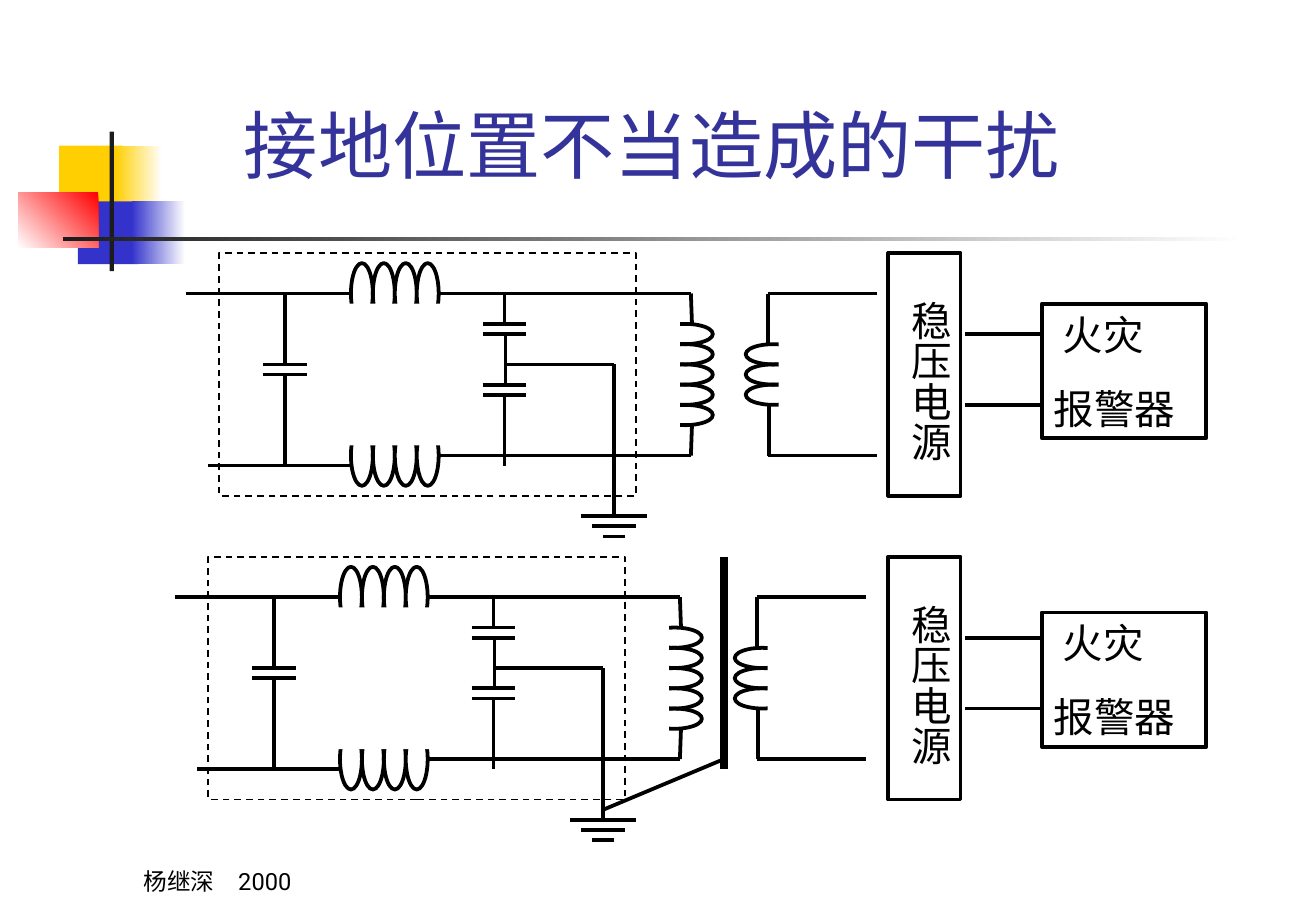
from dataclasses import dataclass

from lxml import etree
from pptx import Presentation
from pptx import util as u
from pptx.dml import color
from pptx.enum import dml, shapes, text
from pptx.oxml import ns


@dataclass(frozen=True)
class Theme:
    ink: str = "000000"
    paper: str = "FFFFFF"
    title: str = "333399"
    yellow: str = "FFCF01"
    blue: str = "3333CC"
    red: str = "FF0000"
    bar: str = "1C1C1C"
    font: str = "Roboto"
    title_size: int = 44
    label_size: int = 24
    footer_size: int = 14
    wire: float = 2.25
    screen: float = 4.5
    dashed: float = 1


theme = Theme()
RECT, OVAL = shapes.MSO_SHAPE.RECTANGLE, shapes.MSO_SHAPE.OVAL

# Slide and drawing grid: 120 columns by 90 rows
deck = Presentation()
deck.slide_width, deck.slide_height = u.Cm(27.53), u.Cm(19.05)
slide = deck.slides.add_slide(deck.slide_layouts[6])
COL, ROW = 27.53 / 120, 19.05 / 90


def block(kind, left, top, width, height, fill=None, fade=None, weight=None):
    """Add a shape in grid units; fade is the angle of a gradient to white."""
    shape = slide.shapes.add_shape(kind, u.Cm(left * COL), u.Cm(top * ROW),
                                   u.Cm(width * COL), u.Cm(height * ROW))
    shape.shadow.inherit = False
    if fill is None:
        shape.fill.background()
    elif fade is None:
        shape.fill.solid()
        shape.fill.fore_color.rgb = color.RGBColor.from_string(fill)
    else:
        shape.fill.gradient()
        shape.fill.gradient_angle = fade
        for stop, tone, place in zip(shape.fill.gradient_stops, (fill, theme.paper), (0, 1)):
            stop.color.rgb = color.RGBColor.from_string(tone)
            stop.position = place
    if weight:
        shape.line.color.rgb = color.RGBColor.from_string(theme.ink)
        shape.line.width = u.Pt(weight)
    else:
        shape.line.fill.background()
    return shape


def wire(x1, y1, x2, y2, weight=theme.wire):
    """Add a straight line in grid units."""
    line = slide.shapes.add_connector(
        shapes.MSO_CONNECTOR.STRAIGHT,
        u.Cm(x1 * COL), u.Cm(y1 * ROW), u.Cm(x2 * COL), u.Cm(y2 * ROW))
    line.line.color.rgb = color.RGBColor.from_string(theme.ink)
    line.line.width = u.Pt(weight)
    etree.SubElement(line._element.spPr, ns.qn("a:effectLst"))


# Corner ornament and rule under the title
for left, top, width, height, tone, fade in (
        (5.4, 14.4, 5.8, 6.2, theme.yellow, None),
        (10.5, 14.4, 4.3, 6.2, theme.yellow, 0),
        (7.1, 19.9, 5.5, 6.2, theme.blue, None),
        (12, 19.9, 4.9, 6.2, theme.blue, 0),
        (1.65, 19, 7.3, 5.5, theme.red, 225),
        (10, 13, 0.4, 13.8, theme.bar, None),
        (5.75, 23.4, 108, 0.4, theme.bar, 0)):
    block(RECT, left, top, width, height, tone, fade)

# Title and footer
labels = []
for words, left, top, width, height, size, tone in (
        ("接地位置不当造成的干扰", 21.15, 9.1, 89.9, 10.1, theme.title_size, theme.title),
        ("杨继深　2000", 12, 83, 25, 6, theme.footer_size, theme.ink)):
    frame = slide.shapes.add_textbox(u.Cm(left * COL), u.Cm(top * ROW),
                                     u.Cm(width * COL), u.Cm(height * ROW)).text_frame
    frame.text = words
    frame.vertical_anchor = text.MSO_ANCHOR.BOTTOM
    labels.append((frame, size, tone, 0))

# Wires of one filter circuit, as x1, y1, x2, y2
circuit_wires = (
    # supply lines and transformer windings
    (17, 29, 32, 29), (40, 29, 63, 29), (63, 29, 63.1, 32),
    (19, 46, 32, 46), (40, 45, 63, 45), (63.1, 42, 63, 45),
    (70, 29, 70, 34), (70, 29, 80, 29), (70.1, 40, 70.1, 45), (70, 45, 80, 45),
    # capacitor across the lines
    (26, 29, 26, 36), (24, 36, 28, 36), (24, 37, 28, 37), (26, 37, 26, 46),
    # capacitor pair with grounded midpoint
    (46, 29, 46, 32), (44, 32, 48, 32), (44, 33, 48, 33), (46.1, 33, 46.1, 38),
    (44, 38, 48, 38), (44, 39, 48, 39), (46, 39, 46, 46),
    (46, 36, 56, 36), (56, 36, 56, 51),
    # ground symbol
    (53, 51, 59, 51), (54, 52, 58, 52), (55, 53, 57, 53))

# Two circuits: shift of the filter, rows down, top of the alarm
for shift, down, alarm_top in ((0, 0, 30), (-1, 30, 60.5)):
    # Coils: rows of ovals, half hidden by a white cover
    for x, y, turns, step_x, step_y, width, height, fill, cover in (
            (60, 32, 5, 0, 2, 5, 2, None, (57, 31, 5, 13)),
            (68, 34, 3, 0, 2, 5, 2, None, (71, 32, 4, 9)),
            (32, 26, 4, 2, 0, 2, 6, theme.paper, (30, 30, 12, 4)),
            (32, 42, 4, 2, 0, 2, 6, theme.paper, (30, 40, 11, 4))):
        for turn in range(turns):
            block(OVAL, x + shift + turn * step_x, y + down + turn * step_y,
                  width, height, fill, weight=theme.wire)
        cover_x, cover_y, cover_w, cover_h = cover
        block(RECT, cover_x + shift, cover_y + down, cover_w, cover_h, theme.paper)

    for x1, y1, x2, y2 in circuit_wires:
        wire(x1 + shift, y1 + down, x2 + shift, y2 + down)

    # Dashed filter housing
    housing = block(RECT, 20 + shift, 25 + down, 38, 24, weight=theme.dashed)
    housing.line.dash_style = dml.MSO_LINE.DASH

    # Regulated supply, fire alarm and the leads between them
    supply = block(RECT, 81, 25 + down, 6.6, 24, weight=theme.wire).text_frame
    supply.text = "稳压电源"
    supply._txBody.bodyPr.set("vert", "eaVert")
    supply.margin_left = supply.margin_right = u.Cm(0.13)
    supply.margin_top, supply.margin_bottom = u.Cm(1), u.Cm(0.25)
    alarm = block(RECT, 95, alarm_top, 15, 13.3, weight=theme.wire).text_frame
    alarm.text = " 火灾\n报警器"
    for frame in (supply, alarm):
        frame.vertical_anchor = text.MSO_ANCHOR.TOP
        labels.append((frame, theme.label_size, theme.ink, 15))
    for lead_y in (33, 40):
        wire(88, lead_y + down, 95, lead_y + down)

# Transformer screen of the lower circuit and its ground strap
wire(66, 55, 66, 76, theme.screen)
wire(55, 80, 66, 75)

# Text format
for frame, size, tone, space in labels:
    frame.word_wrap = True
    for paragraph in frame.paragraphs:
        paragraph.alignment = text.PP_ALIGN.LEFT
        paragraph.space_before = u.Pt(space)
        for run in paragraph.runs:
            run.font.name = theme.font
            run.font.size = u.Pt(size)
            run.font.color.rgb = color.RGBColor.from_string(tone)

deck.save("out.pptx")
